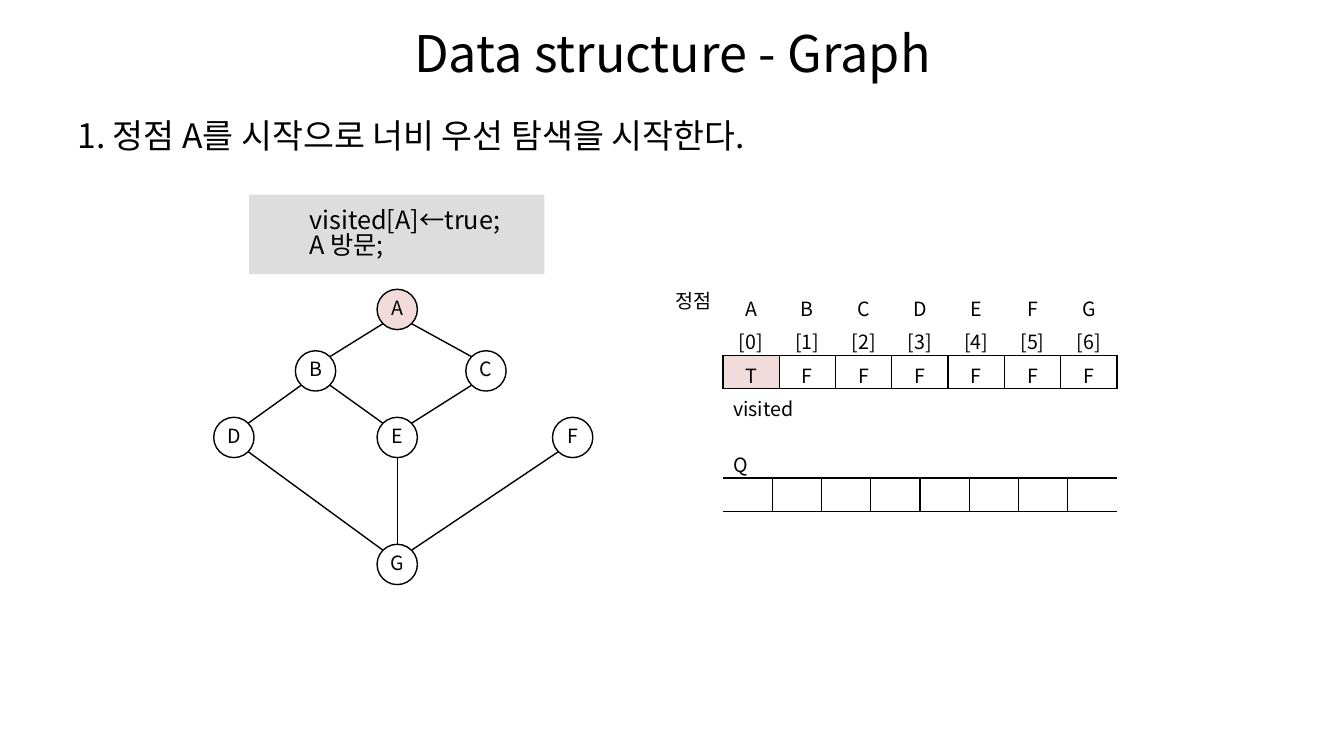
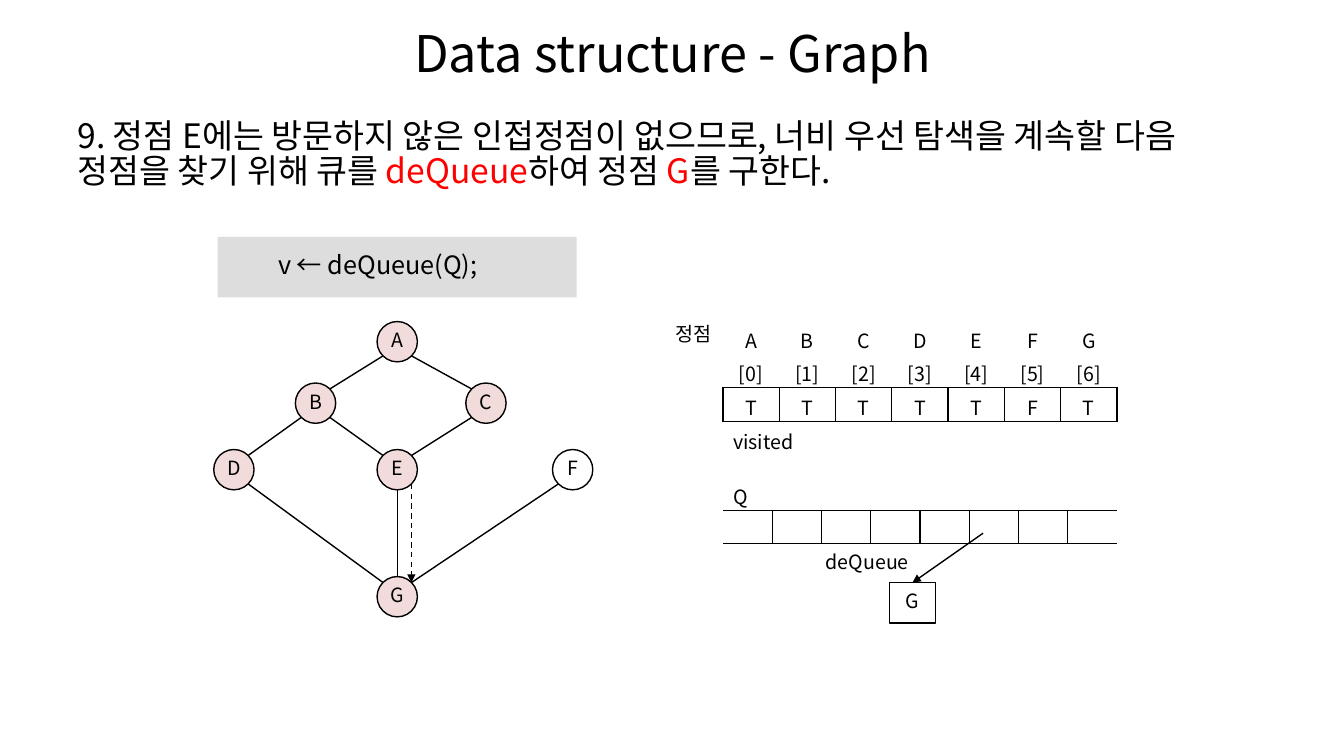
from dataclasses import dataclass
from lxml.etree import SubElement
from pptx import Presentation
from pptx.dml.color import RGBColor
from pptx.enum.dml import MSO_LINE
from pptx.enum.shapes import MSO_CONNECTOR, MSO_SHAPE
from pptx.enum.text import MSO_ANCHOR as Anchor, MSO_AUTO_SIZE, PP_ALIGN as Align
from pptx.oxml.ns import qn
from pptx.util import Emu, Inches, Pt

HUE = {"ink": "000000", "paper": "FFFFFF", "seen": "F2DCDB", "code": "DDDDDD", "key": "FF0000"}
FACE = "Noto Sans CJK KR"
PLAIN = "{2D5ABB26-0587-4C30-8999-92F81FD0307C}"  # table style without grid
UNIT = Inches(0.1)  # one column or row of the slide grid
TITLE = "Data structure - Graph"

DISC = 4  # node diameter
DIAG = 1.4  # offset of a node's diagonal edge points
NODES = {
    "A": (39.4, 30.7),
    "B": (31.3, 36.8),
    "C": (48.2, 36.8),
    "D": (23.2, 43.4),
    "E": (39.4, 43.4),
    "F": (56.8, 43.4),
    "G": (39.4, 56),
}
EDGES = ("AB", "AC", "BD", "BE", "CE", "DG", "EG", "FG")
GRID_X, GRID_W, ROW = 71.7, 39.1, 3.33
SLOTS = 8  # places in the queue


@dataclass(frozen=True)
class Box:
    x: float
    y: float
    w: float
    h: float

    def emu(self) -> list[Emu]:
        return [grid(n) for n in (self.x, self.y, self.w, self.h)]


@dataclass(frozen=True)
class Step:
    text: tuple[tuple[str, str], ...]
    code: tuple[str, ...]
    panel: Box
    flags: str
    drop: float = 0  # how far the drawing sits below its usual place
    fresh: str = ""  # vertices whose flag has just changed
    pop: str = ""  # vertex taken from the queue


STEPS = (
    Step(
        (("1. 정점 A를 시작으로 너비 우선 탐색을 시작한다.", "ink"),),
        ("visited[A]←true;", "A 방문;"),
        Box(24.7, 19.3, 29.3, 7.9),
        "TFFFFFF",
        fresh="A",
    ),
    Step(
        (
            ("9. 정점 E에는 방문하지 않은 인접정점이 없으므로, 너비 우선 탐색을 계속할 "
             "다음 정점을 찾기 위해 큐를 ", "ink"),
            ("deQueue", "key"),
            ("하여 정점 ", "ink"),
            ("G", "key"),
            ("를 구한다.", "ink"),
        ),
        ("v ← deQueue(Q);",),
        Box(21.6, 23.5, 35.6, 6),
        "TTTTTFT",
        drop=3.2,
        pop="G",
    ),
)


def grid(cells: float) -> Emu:
    return Emu(round(cells * UNIT))


def rgb(hue: str) -> RGBColor:
    return RGBColor.from_string(HUE[hue])


def style(par, size: int, align=Align.LEFT, lead: float = 0.83) -> None:
    """Set alignment, line spacing and font of a paragraph."""
    par.alignment = align
    par.line_spacing = lead
    par.font.size = Pt(size)
    par.font.color.rgb = rgb("ink")
    par.font.name = FACE
    font = par._p.pPr.find(qn("a:defRPr"))
    SubElement(font, qn("a:ea")).set("typeface", FACE)


def shape(slide, kind, box: Box, fill: str, text: str = "", line: bool = True):
    item = slide.shapes.add_shape(kind, *box.emu())
    item.shadow.inherit = False
    item.fill.solid()
    item.fill.fore_color.rgb = rgb(fill)
    if line:
        item.line.color.rgb = rgb("ink")
        item.line.width = Pt(1)
    else:
        item.line.fill.background()
    frame = item.text_frame
    frame.vertical_anchor = Anchor.MIDDLE
    if text:
        frame.margin_left = frame.margin_right = frame.margin_top = frame.margin_bottom = 0
        frame.word_wrap = False
        frame.text = text
        style(frame.paragraphs[0], 14, Align.CENTER)
    return item


def line(slide, x1: float, y1: float, x2: float, y2: float, head=False, dash=False) -> None:
    ends = [grid(n) for n in (x1, y1, x2, y2)]
    item = slide.shapes.add_connector(MSO_CONNECTOR.STRAIGHT, *ends)
    item.line.color.rgb = rgb("ink")
    item.line.width = Pt(1)
    if dash:
        item.line.dash_style = MSO_LINE.DASH
    if head:
        SubElement(item.line._get_or_add_ln(), qn("a:tailEnd")).set("type", "triangle")
    SubElement(item._element.spPr, qn("a:effectLst"))


def label(slide, box: Box, text: str) -> None:
    frame = slide.shapes.add_textbox(*box.emu()).text_frame
    frame.word_wrap = True
    frame.margin_right = 0
    frame.text = text
    style(frame.paragraphs[0], 14)


def cell(item, text: str = "", sides: str = "", fill: str = "paper", align=Align.CENTER) -> None:
    """Fill one table cell; sides lists its ruled edges out of L, R, T, B."""
    props = item._tc.get_or_add_tcPr()
    for side in sides:
        edge = SubElement(props, qn(f"a:ln{side}"), w=str(Pt(1)))
        paint = SubElement(edge, qn("a:solidFill"))
        SubElement(paint, qn("a:srgbClr"), val=HUE["ink"])
    item.fill.solid()
    item.fill.fore_color.rgb = rgb(fill)
    item.vertical_anchor = Anchor.MIDDLE
    item.margin_top = grid(0.5) if text else 0
    item.margin_bottom = 0
    item.text = text
    style(item.text_frame.paragraphs[0], 14, align, 1.0)


def table(slide, rows: int, cols: int, y: float):
    box = Box(GRID_X, y, GRID_W, rows * ROW)
    item = slide.shapes.add_table(rows, cols, *box.emu()).table
    item.first_row = item.horz_banding = False
    item._tbl.tblPr.find(qn("a:tableStyleId")).text = PLAIN
    for row in item.rows:
        row.height = grid(ROW)
    for col in item.columns:
        col.width = grid(GRID_W / cols)
    return item


def span(item, row: int, text: str) -> None:
    """Merge a whole row under one left-aligned caption."""
    first = item.cell(row, 0)
    first.merge(item.cell(row, len(item.columns) - 1))
    cell(first, text, align=Align.LEFT)


def flags(slide, step: Step) -> None:
    """Draw the visited array with its vertex names and indices."""
    top = 28.6 + step.drop
    label(slide, Box(66, top, 5.6, 3.4), "정점")
    item = table(slide, 4, len(NODES), top)
    for i, (name, flag) in enumerate(zip(NODES, step.flags)):
        cell(item.cell(0, i), name)
        cell(item.cell(1, i), f"[{i}]", "B")
        cell(item.cell(2, i), flag, "LRTB", "seen" if name in step.fresh else "paper")
    span(item, 3, "visited")


def queue(slide, step: Step) -> None:
    item = table(slide, 2, SLOTS, 44.1 + step.drop)
    span(item, 0, "Q")
    for i in range(SLOTS):
        left = "L" if i else ""
        right = "R" if i < SLOTS - 1 else ""
        cell(item.cell(1, i), sides=left + right + "TB")


def graph(slide, step: Step) -> None:
    for a, b in EDGES:
        (x1, y1), (x2, y2) = NODES[a], NODES[b]
        way = (x2 > x1) - (x2 < x1)
        dx, dy = (way * DIAG, DIAG) if way else (0, DISC / 2)
        line(slide, x1 + dx, y1 + dy + step.drop, x2 - dx, y2 - dy + step.drop)
    for (name, (x, y)), flag in zip(NODES.items(), step.flags):
        box = Box(x - DISC / 2, y - DISC / 2 + step.drop, DISC, DISC)
        shape(slide, MSO_SHAPE.OVAL, box, "seen" if flag == "T" else "paper", name)


def pop(slide, step: Step) -> None:
    """Show the move to the next vertex and its removal from the queue."""
    (x1, y1), (x2, y2) = NODES["E"], NODES[step.pop]
    line(slide, x1 + DIAG, y1 + DIAG + step.drop, x2 + DIAG, y2 - DIAG + step.drop, True, True)
    shape(slide, MSO_SHAPE.RECTANGLE, Box(88.2, 57.8, 4.6, 4), "paper", step.pop)
    line(slide, 97.5, 52.9, 90.5, 57.8, head=True)
    label(slide, Box(80.9, 54.5, 11.1, 3.4), "deQueue")


def head(slide, step: Step) -> None:
    """Place the title and the sentence that explains the step."""
    title = slide.shapes.title
    title.left, title.top, title.width, title.height = Box(6.7, 1.3, 120, 8.5).emu()
    title.text_frame.text = TITLE
    title.text_frame.auto_size = MSO_AUTO_SIZE.NONE
    title.text_frame.vertical_anchor = Anchor.MIDDLE
    style(title.text_frame.paragraphs[0], 36, Align.CENTER, 0.9)

    frame = slide.shapes.add_textbox(*Box(6.7, 11.5, 120, 56.7).emu()).text_frame
    frame.word_wrap = True
    par = frame.paragraphs[0]
    style(par, 24, lead=0.86)
    for text, hue in step.text:
        run = par.add_run()
        run.text = text
        if hue != "ink":
            run.font.color.rgb = rgb(hue)


def code(slide, step: Step) -> None:
    frame = shape(slide, MSO_SHAPE.RECTANGLE, step.panel, "code", line=False).text_frame
    frame.word_wrap = True
    frame.margin_left = grid(6)
    frame.text = "\n".join(step.code)
    for par in frame.paragraphs:
        style(par, 18)


def main() -> None:
    deck = Presentation()
    deck.slide_width, deck.slide_height = Inches(13.33), Inches(7.5)
    for step in STEPS:
        slide = deck.slides.add_slide(deck.slide_layouts.get_by_name("Title Only"))
        for draw in (head, graph, flags, queue, code):
            draw(slide, step)
        if step.pop:
            pop(slide, step)
    deck.save("out.pptx")


if __name__ == "__main__":
    main()
